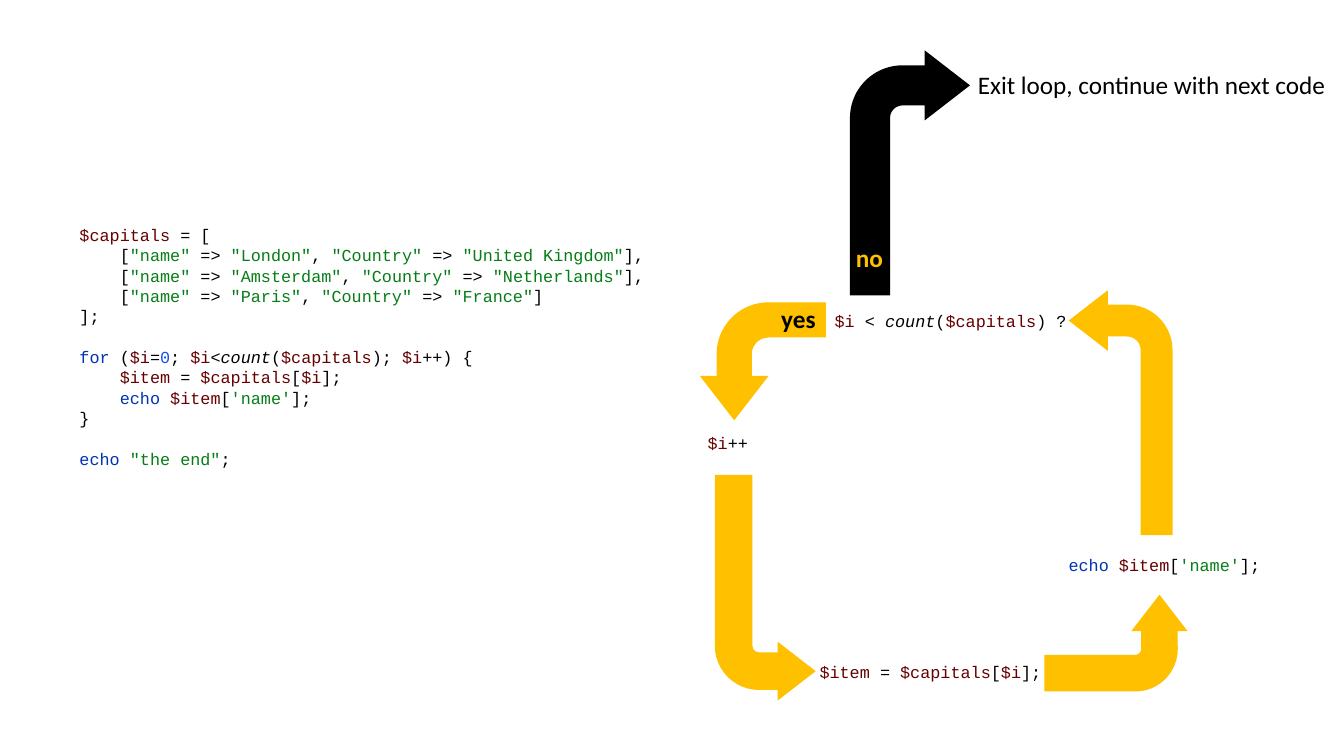
from pptx import Presentation
from pptx.dml.color import RGBColor
from pptx.enum.shapes import MSO_SHAPE
from pptx.enum.text import MSO_AUTO_SIZE
from pptx.util import Inches, Pt

BENT_ARROW = MSO_SHAPE.BENT_ARROW
FIT_SHAPE = MSO_AUTO_SIZE.SHAPE_TO_FIT_TEXT

BLACK = RGBColor(0x00, 0x00, 0x00)
AMBER = RGBColor(0xFF, 0xC0, 0x00)
VARIABLE = RGBColor(0x66, 0x00, 0x00)
KEYWORD = RGBColor(0x00, 0x33, 0xB3)
STRING = RGBColor(0x06, 0x7D, 0x17)
NUMBER = RGBColor(0x17, 0x50, 0xEB)

CODE_FONT, LABEL_FONT = "Courier New", "Calibri"
CODE_LINE = Pt(14.5)
INDENT = 0.4  # four characters of 12 pt code

CITIES = [("London", "United Kingdom", "],"),
          ("Amsterdam", "Netherlands", "],"),
          ("Paris", "France", "]")]
ASSIGN = "$item |= |$capitals|[|$i|];"
ECHO = "echo |$item|[|'name'|];"

# Each line: indent level, blank lines before it, tokens separated by "|"
PROGRAM = [
    (0, 0, "$capitals |= ["),
    *((1, 0, f'[|"name" |=> |"{city}"|, |"Country" |=> |"{country}"|{end}')
      for city, country, end in CITIES),
    (0, 0, "];"),
    (0, 1, "for |(|$i|=|0|; |$i|<|count|(|$capitals|); |$i|++) {"),
    (1, 0, ASSIGN),
    (1, 0, ECHO),
    (0, 0, "}"),
    (0, 1, 'echo |"the end"|;'),
]


def token_color(token):
    """Return the syntax colour of one code token."""
    if token.strip() in ("for", "echo"):
        return KEYWORD
    if token.isdigit():
        return NUMBER
    return {"$": VARIABLE, '"': STRING, "'": STRING}.get(token[0], BLACK)


def add_run(paragraph, text, font, size, color, bold=False, italic=False):
    """Append one formatted run."""
    run = paragraph.add_run()
    run.text = text
    run.font.name, run.font.size = font, Pt(size)
    run.font.bold, run.font.italic = bold, italic
    run.font.color.rgb = color


def add_frame(slide, box, wrap):
    """Add an empty text box and return its text frame."""
    frame = slide.shapes.add_textbox(*map(Inches, box)).text_frame
    frame.word_wrap = wrap
    frame.auto_size = FIT_SHAPE
    return frame


def add_code(slide, box, lines, wrap=False):
    """Write highlighted code lines into the box, one paragraph each."""
    frame = add_frame(slide, box, wrap)
    for number, (level, blanks, tokens) in enumerate(lines):
        paragraph = frame.add_paragraph() if number else frame.paragraphs[0]
        paragraph.line_spacing = CODE_LINE
        paragraph.space_before = CODE_LINE * blanks
        paragraph._p.get_or_add_pPr().set("marL", str(Inches(INDENT * level)))
        for token in tokens.split("|"):
            add_run(paragraph, token, CODE_FONT, 12, token_color(token),
                    italic=token == "count")


def add_label(slide, box, text, color, bold=True, wrap=False):
    """Write a one-line label."""
    paragraph = add_frame(slide, box, wrap).paragraphs[0]
    add_run(paragraph, text, LABEL_FONT, 18, color, bold)


def add_bent_arrow(slide, box, color, thickness, rotation=0, flip=True):
    """Add a bent arrow whose shaft has the given relative thickness."""
    arrow = slide.shapes.add_shape(BENT_ARROW, *map(Inches, box))
    for index, value in enumerate((thickness, 0.292, 0.377, 0.438)):
        arrow.adjustments[index] = value
    arrow.rotation = rotation
    if flip:
        arrow._element.spPr.xfrm.set("flipH", "1")
    arrow.fill.solid()
    arrow.fill.fore_color.rgb = color
    arrow.line.fill.background()
    arrow.shadow.inherit = False


def add_loop_diagram(slide, left, top):
    """Draw the loop cycle and its exit from the given corner."""
    def place(x, y, width, height):
        return left + x, top + y, width, height

    cycle = [  # box, shaft thickness, rotation
        ((0.17, 4.21, 1, 2.24), 0.373, 180),
        ((3.67, 5.17, 0.96, 1.42), 0.378, 90),
        ((3.68, 2.38, 1.03, 2.43), 0.307, 0),
        ((0.06, 2.46, 1.17, 1.25), 0.298, 270),
    ]
    for box, thickness, rotation in cycle:
        add_bent_arrow(slide, place(*box), AMBER, thickness, rotation)
    add_bent_arrow(slide, place(1.51, 0, 1.19, 2.43), BLACK, 0.334, flip=False)

    add_label(slide, place(2.68, 0.14, 3.69, 0.4),
              "Exit loop, continue with next code", BLACK, bold=False)
    add_label(slide, place(1.47, 1.86, 0.47, 0.4), "no", AMBER)
    add_label(slide, place(0.73, 2.46, 0.76, 0.4), "yes", BLACK, wrap=True)

    steps = [
        ((1.26, 2.53, 2.54, 0.3), "$i |< |count|(|$capitals|) ?"),
        ((0, 3.74, 0.61, 0.3), "$i|++"),
        ((1.11, 6.01, 2.44, 0.3), ASSIGN),
        ((3.58, 4.95, 2.13, 0.3), ECHO),
    ]
    for box, tokens in steps:
        add_code(slide, place(*box), [(0, 0, tokens)])


def main():
    """Build the slide and save it."""
    deck = Presentation()
    deck.slide_width, deck.slide_height = Inches(13.33), Inches(7.5)
    slide = deck.slides.add_slide(deck.slide_layouts[6])
    add_loop_diagram(slide, 6.92, 0.5)
    add_code(slide, (0.69, 2.18, 5.97, 2.52), PROGRAM, wrap=True)
    deck.save("out.pptx")


main()
